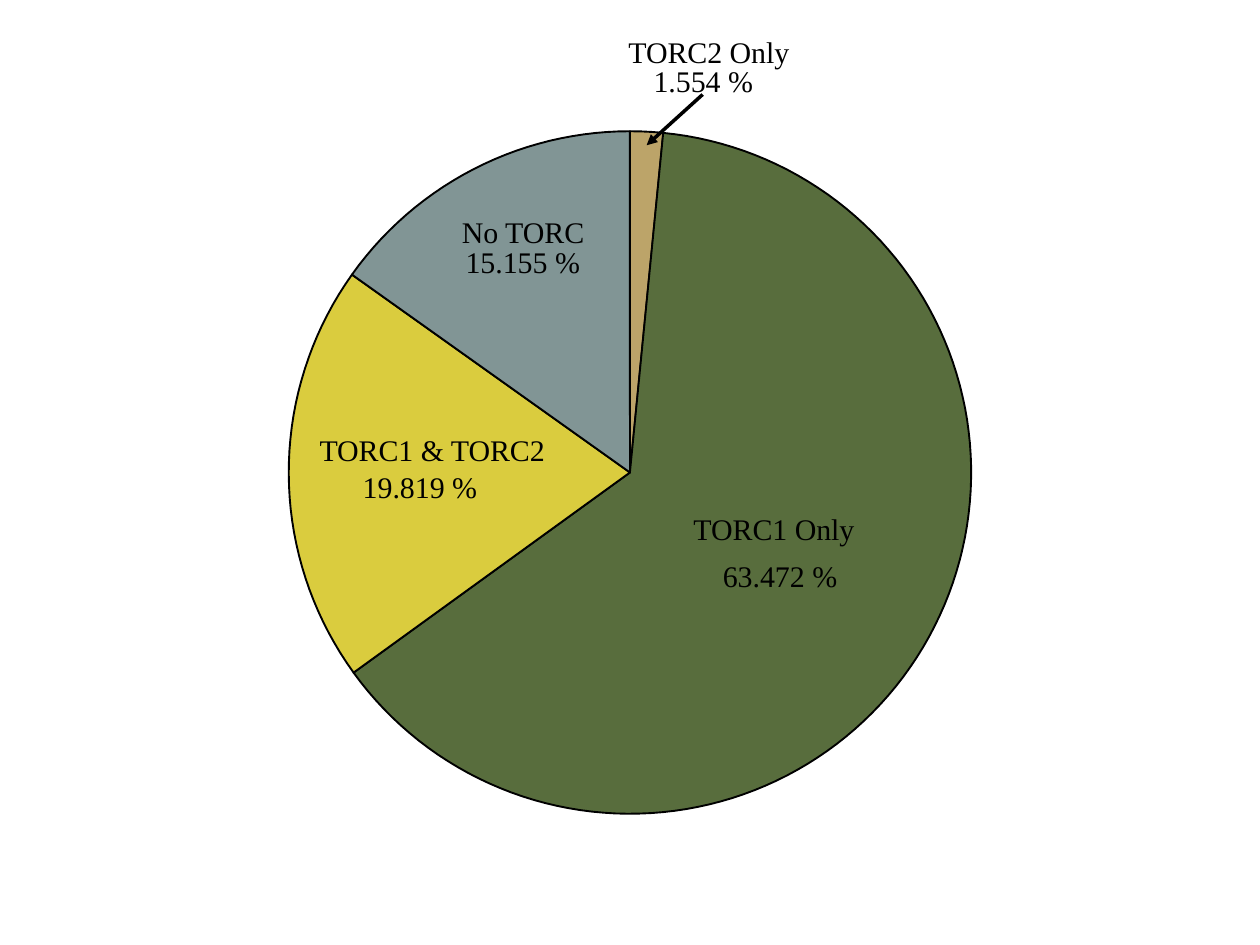
import math

import lxml.etree
import pptx
import pptx.dml.color
import pptx.enum.shapes
import pptx.enum.text
import pptx.oxml.ns
import pptx.util

Pt = pptx.util.Pt

COLORS = {
    "white": "FFFFFF",
    "black": "000000",
    "tan": "BCA469",
    "green": "586D3D",
    "yellow": "DACC3E",
    "gray": "819595",
}

# Share in percent, colour
SECTORS = [(1.554, "tan"), (63.472, "green"), (19.819, "yellow"), (15.155, "gray")]

# Text, left, middle, width
LABELS = [
    ("TORC2 Only", 359.1, 31, 102),
    ("1.554 %", 373.5, 47.5, 68),
    ("TORC1 Only", 396.3, 304, 102),
    ("63.472 %", 413.1, 330.5, 77),
    ("TORC1 & TORC2", 182.6, 258.5, 141),
    ("19.819 %", 207.3, 280, 77),
    ("No TORC", 264, 134, 80),
    ("15.155 %", 266.1, 151, 77),
]


class PieSlide:
    font = "Times New Roman"
    text_size = 17.1
    label_height = 17
    outline = 1.07
    center = (360, 270)
    radius = 195
    step = 2  # degrees between points on the rim

    def __init__(self, slide):
        self.slide = slide

    def rgb(self, name):
        return pptx.dml.color.RGBColor.from_string(COLORS[name])

    def paint(self, shape, fill, line, width):
        shape.shadow.inherit = False
        shape.fill.solid()
        shape.fill.fore_color.rgb = self.rgb(fill)
        shape.line.color.rgb = self.rgb(line)
        shape.line.width = Pt(width)

    def panel(self, left, top, width, height):
        rectangle = self.slide.shapes.add_shape(
            pptx.enum.shapes.MSO_SHAPE.RECTANGLE,
            Pt(left), Pt(top), Pt(width), Pt(height))
        self.paint(rectangle, "white", "white", 0.75)

    def rim_point(self, degrees):
        """Return the point on the rim, clockwise from the top."""
        angle = math.radians(degrees)
        return (Pt(self.center[0] + self.radius * math.sin(angle)),
                Pt(self.center[1] - self.radius * math.cos(angle)))

    def sector(self, start, end, color):
        count = math.ceil((end - start) / self.step)
        rim = [self.rim_point(start + (end - start) * i / count)
               for i in range(count + 1)]
        builder = self.slide.shapes.build_freeform(
            Pt(self.center[0]), Pt(self.center[1]))
        builder.add_line_segments(rim, close=True)
        self.paint(builder.convert_to_shape(), color, "black", self.outline)

    def pie(self, sectors):
        start = 0
        for share, color in sectors:
            end = start + share * 3.6
            self.sector(start, end, color)
            start = end

    def label(self, text, left, middle, width):
        box = self.slide.shapes.add_textbox(
            Pt(left), Pt(middle - self.label_height / 2),
            Pt(width), Pt(self.label_height))
        frame = box.text_frame
        frame.margin_left = frame.margin_right = 0
        frame.margin_top = frame.margin_bottom = 0
        frame.vertical_anchor = pptx.enum.text.MSO_ANCHOR.MIDDLE
        frame.word_wrap = True
        paragraph = frame.paragraphs[0]
        paragraph.text = text
        paragraph.line_spacing = Pt(self.text_size)
        paragraph.font.name = self.font
        paragraph.font.size = Pt(self.text_size)
        paragraph.font.color.rgb = self.rgb("black")

    def arrow(self, x1, y1, x2, y2):
        pointer = self.slide.shapes.add_connector(
            pptx.enum.shapes.MSO_CONNECTOR.STRAIGHT,
            Pt(x1), Pt(y1), Pt(x2), Pt(y2))
        pointer.line.color.rgb = self.rgb("black")
        pointer.line.width = Pt(2)
        qn = pptx.oxml.ns.qn
        lxml.etree.SubElement(
            pointer.line._get_or_add_ln(), qn("a:tailEnd"), type="triangle")
        lxml.etree.SubElement(pointer._element.spPr, qn("a:effectLst"))


def main():
    deck = pptx.Presentation()
    deck.slide_width, deck.slide_height = Pt(720), Pt(540)
    page = PieSlide(deck.slides.add_slide(deck.slide_layouts[6]))
    page.panel(0, 9, 720, 504)
    page.pie(SECTORS)
    for label in LABELS:
        page.label(*label)
    page.arrow(401.5, 54, 369.5, 83)
    deck.save("out.pptx")


if __name__ == "__main__":
    main()
